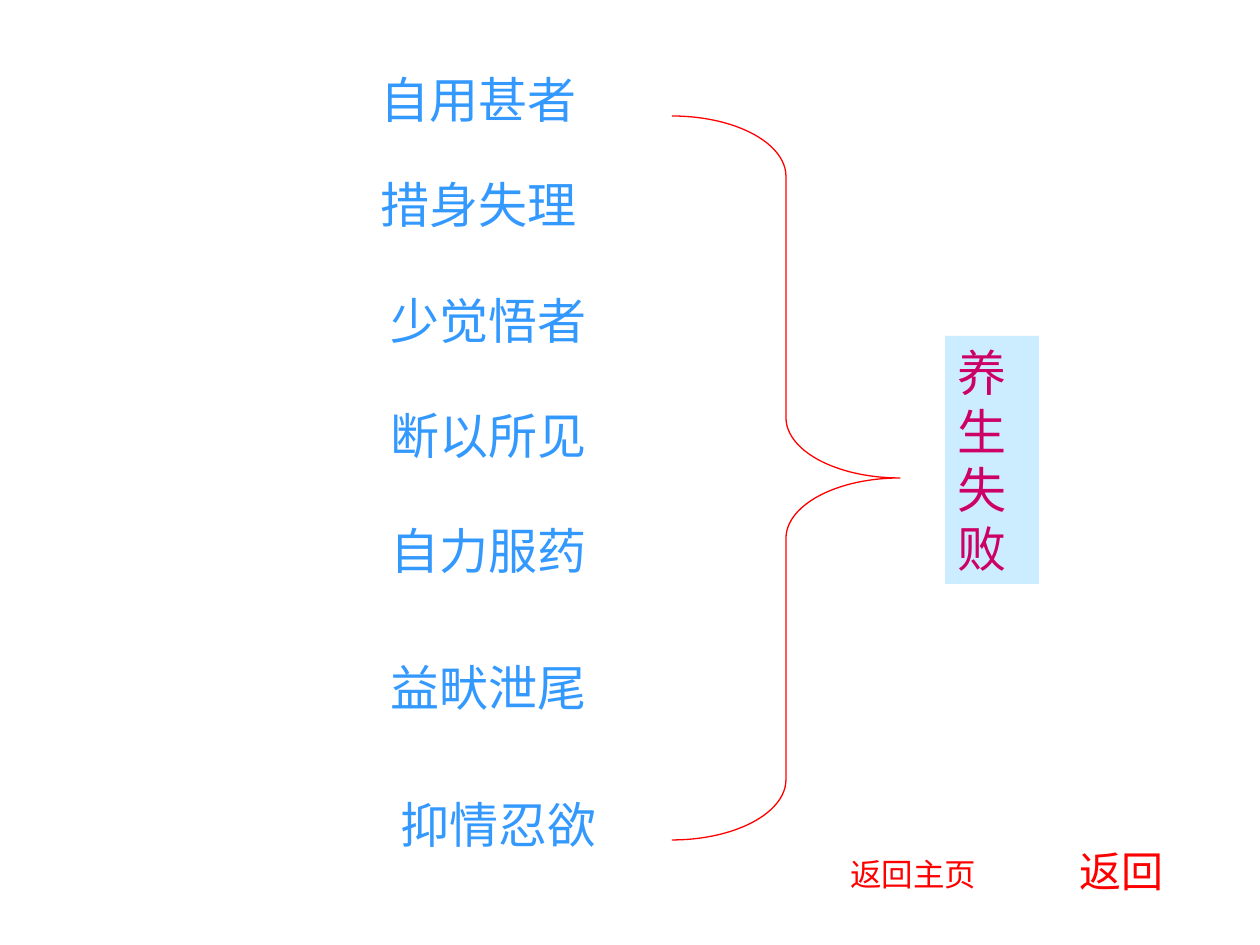
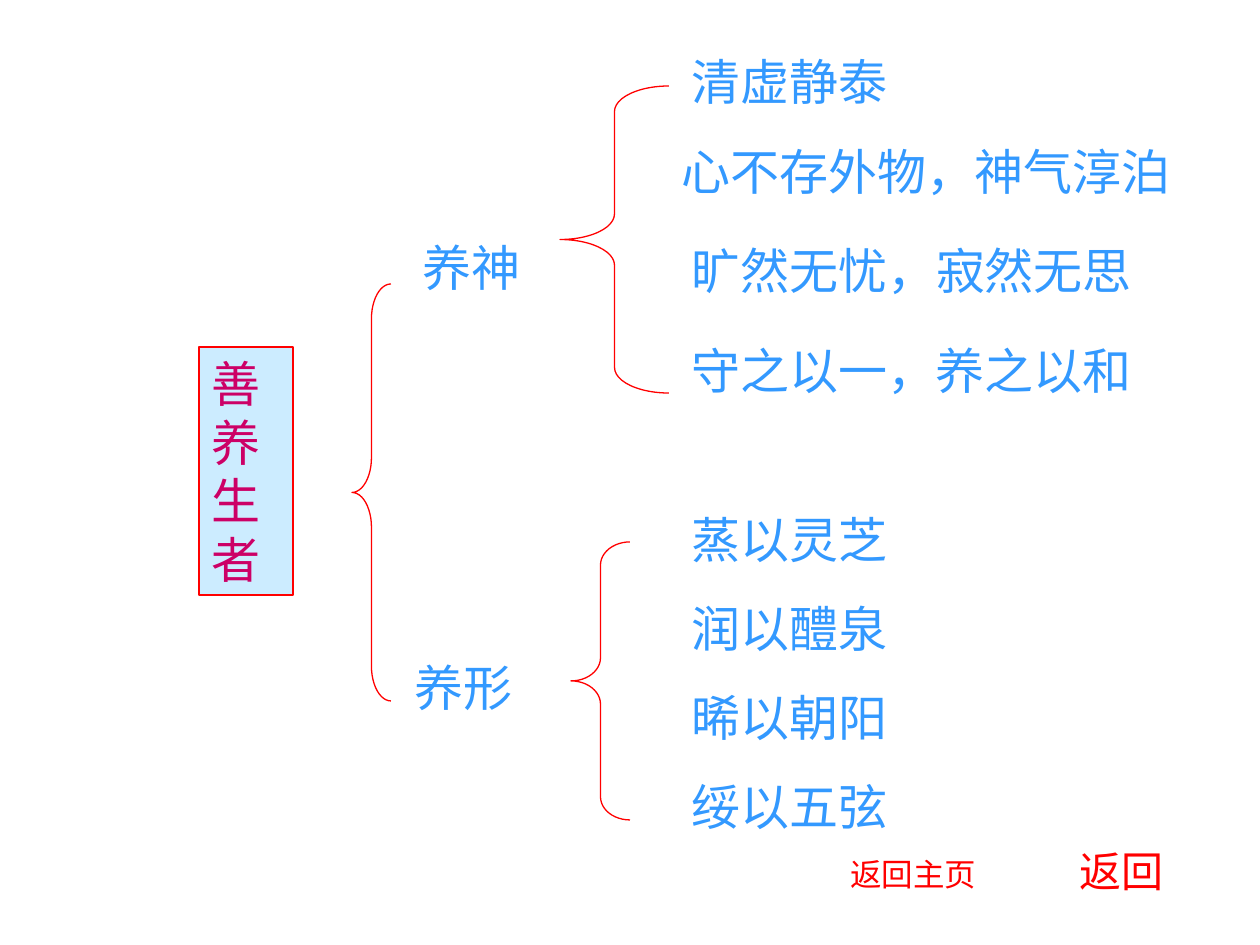
from typing import NamedTuple

from pptx import Presentation
from pptx.dml.color import RGBColor
from pptx.enum.shapes import MSO_SHAPE
from pptx.enum.text import MSO_ANCHOR, MSO_AUTO_SIZE, PP_ALIGN
from pptx.util import Emu, Pt

RECT = MSO_SHAPE.RECTANGLE
LEFT, RIGHT = MSO_SHAPE.LEFT_BRACE, MSO_SHAPE.RIGHT_BRACE
TOP, START = MSO_ANCHOR.TOP, PP_ALIGN.LEFT
GROW = MSO_AUTO_SIZE.SHAPE_TO_FIT_TEXT

SCALE = 914400 / 126  # EMU in one px
WIDE, HIGH = 1260, 945
FONT = "Arial"
COLORS = {
    "white": "FFFFFF",
    "blue": "3399FF",
    "red": "FF0000",
    "pink": "CC0066",
    "pale": "CCECFF",
}


class Label(NamedTuple):
    text: str
    x: int
    y: int
    w: int
    h: int = 72
    size: int = 28
    color: str = "blue"
    fill: str = ""
    line: str = ""


class Brace(NamedTuple):
    kind: MSO_SHAPE
    x: int
    y: int
    w: int
    h: int


LINKS = [
    Label("返回主页", 838, 849, 169, 50, 18, "red"),
    Label("返回", 1067, 839, 139, 63, 24, "red"),
]


def px(n: int) -> Emu:
    return Emu(round(n * SCALE))


def rgb(name: str) -> RGBColor:
    return RGBColor.from_string(COLORS[name])


def edge(shape, name: str) -> None:
    shape.line.color.rgb = rgb(name)
    shape.line.width = Pt(0.75)


def draw_label(slide, item: Label) -> None:
    """Draw text in a filled rectangle, or in a plain text box if no fill is named."""
    place = [px(n) for n in (item.x, item.y, item.w, item.h)]
    if item.fill:
        shape = slide.shapes.add_shape(RECT, *place)
        shape.shadow.inherit = False
        shape.fill.solid()
        shape.fill.fore_color.rgb = rgb(item.fill)
        if item.line:
            edge(shape, item.line)
        else:
            shape.line.fill.background()
    else:
        shape = slide.shapes.add_textbox(*place)
    frame = shape.text_frame
    frame.word_wrap = True
    frame.auto_size = GROW
    frame.vertical_anchor = TOP
    para = frame.paragraphs[0]
    para.alignment = START
    run = para.add_run()
    run.text = item.text
    run.font.name = FONT
    run.font.size = Pt(item.size)
    run.font.color.rgb = rgb(item.color)


def draw_brace(slide, item: Brace) -> None:
    """Draw a brace whose curves are each a twelfth of its height."""
    place = [px(n) for n in (item.x, item.y, item.w, item.h)]
    shape = slide.shapes.add_shape(item.kind, *place)
    shape.shadow.inherit = False
    shape.fill.background()
    edge(shape, "red")
    shape.adjustments[0] = item.h / 12 / item.w
    shape.adjustments[1] = 0.5


def add_slide(deck, labels: list[Label], braces: list[Brace]) -> None:
    slide = deck.slides.add_slide(deck.slide_layouts[6])
    for label in labels:
        draw_label(slide, label)
    for brace in braces:
        draw_brace(slide, brace)
    for link in LINKS:
        draw_label(slide, link)


def topic(text: str, x: int, y: int, line: str = "") -> Label:
    """Make a narrow box that wraps its text to one sign a row."""
    return Label(text, x, y, 94, 248, color="pink", fill="pale", line=line)


def main() -> None:
    deck = Presentation()
    deck.slide_width, deck.slide_height = px(WIDE), px(HIGH)

    faults = [
        Label(text, x, y, w, fill="white")
        for text, x, y, w in [
            ("自用甚者", 368, 63, 248),
            ("措身失理", 368, 168, 238),
            ("少觉悟者", 378, 284, 228),
            ("断以所见", 378, 399, 228),
            ("自力服药", 378, 514, 228),
            ("益畎泄尾", 378, 651, 228),
            ("抑情忍欲", 388, 788, 228),
        ]
    ]
    add_slide(
        deck,
        faults + [topic("养生失败", 945, 336)],
        [Brace(RIGHT, 672, 116, 228, 724)],
    )

    heads = [
        topic("善养生者", 199, 347, "red"),
        Label("养神", 410, 231, 126, fill="white"),
        Label("养形", 402, 651, 134, fill="white"),
    ]
    mind = [
        Label("清虚静泰", 679, 45, 287),
        Label("心不存外物，神气淳泊", 669, 135, 536),
        Label("旷然无忧，寂然无思", 679, 234, 496),
        Label("守之以一，养之以和", 679, 334, 476),
    ]
    body = [
        Label(text, 679, 503 + 89 * i, 280)
        for i, text in enumerate(["蒸以灵芝", "润以醴泉", "晞以朝阳", "绥以五弦"])
    ]
    add_slide(
        deck,
        heads + mind + body,
        [
            Brace(LEFT, 352, 284, 39, 417),
            Brace(LEFT, 560, 86, 109, 307),
            Brace(LEFT, 571, 542, 59, 278),
        ],
    )
    deck.save("out.pptx")


if __name__ == "__main__":
    main()
